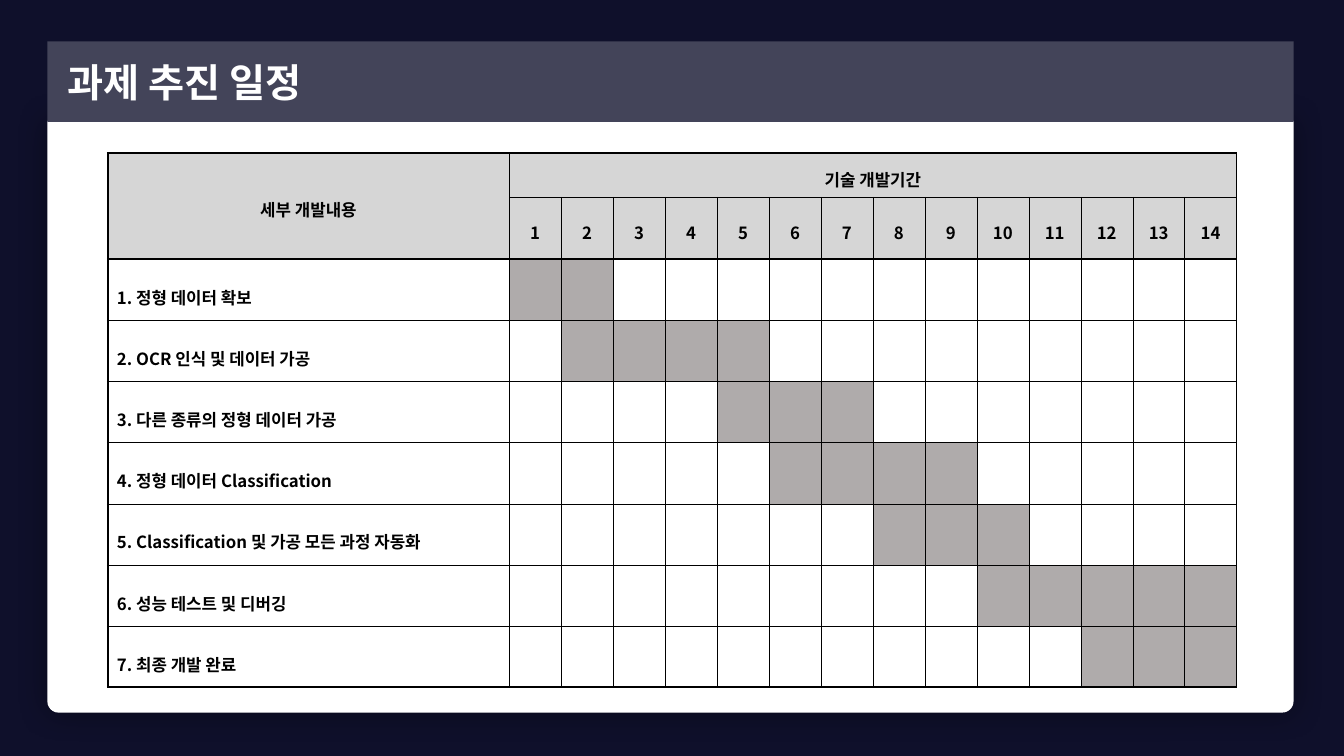
from dataclasses import dataclass

from lxml import etree
from pptx import Presentation
from pptx.dml.color import RGBColor
from pptx.enum.shapes import MSO_SHAPE
from pptx.enum.text import MSO_ANCHOR, PP_ALIGN
from pptx.oxml import parse_xml
from pptx.oxml.ns import nsdecls, qn
from pptx.util import Emu, Pt

ROUND = MSO_SHAPE.ROUND_2_SAME_RECTANGLE
MID = MSO_ANCHOR.MIDDLE
LEFT, CENTER, JUST = PP_ALIGN.LEFT, PP_ALIGN.CENTER, PP_ALIGN.JUSTIFY
SCALE = 9144
MONTHS = 14
HEADS = 2


@dataclass(frozen=True)
class Theme:
    font: str = "Noto Sans CJK KR"
    back: str = "0F102B"
    band: str = "434459"
    card: str = "FFFFFF"
    head: str = "D6D6D6"
    bar: str = "AFABAB"
    ink: str = "000000"
    title: int = 28
    body: int = 12
    thin: float = 0.28
    rule: float = 1
    edge: float = 1.7
    heavy: float = 1.98


@dataclass(frozen=True)
class Box:
    left: int
    top: int
    width: int
    height: int

    def emu(self) -> tuple[Emu, ...]:
        return tuple(px(n) for n in (self.left, self.top, self.width, self.height))


@dataclass(frozen=True)
class Task:
    name: str
    start: int
    end: int


THEME = Theme()
BAND = Box(47, 41, 1236, 80)
CARD = Box(47, 120, 1236, 587)
GRID = Box(107, 152, 1120, 530)
LABEL = 398
TOP = 44
TASKS = [
    Task("1. 정형 데이터 확보", 1, 2),
    Task("2. OCR 인식 및 데이터 가공", 2, 5),
    Task("3. 다른 종류의 정형 데이터 가공", 5, 7),
    Task("4. 정형 데이터 Classification", 6, 9),
    Task("5. Classification 및 가공 모든 과정 자동화", 8, 10),
    Task("6. 성능 테스트 및 디버깅", 10, 14),
    Task("7. 최종 개발 완료", 12, 14),
]


def px(n: int) -> Emu:
    return Emu(n * SCALE)


def paint(fill, color: str) -> None:
    fill.solid()
    fill.fore_color.rgb = RGBColor.from_string(color)


def write(frame, text: str, *, size: int = THEME.body, color: str = THEME.ink,
          align=CENTER, space: float = 1.3, inset: int = 0) -> None:
    frame.text = text
    para = frame.paragraphs[0]
    para.alignment = align
    para.line_spacing = space
    props = para._p.get_or_add_pPr()
    props.set("marL", str(px(inset)))
    props.set("indent", "0")
    font = para.runs[0].font
    font.size = Pt(size)
    font.bold = True
    font.name = THEME.font
    font.color.rgb = RGBColor.from_string(color)
    east = etree.SubElement(font._element, qn("a:ea"))
    east.set("typeface", THEME.font)


def rim(cell, **sides: float) -> None:
    props = cell._tc.get_or_add_tcPr()
    for side in "LRTB":
        props.append(parse_xml(
            f'<a:ln{side} {nsdecls("a")} w="{Pt(sides[side])}">'
            f'<a:solidFill><a:srgbClr val="{THEME.ink}"/></a:solidFill>'
            f'<a:prstDash val="solid"/></a:ln{side}>'))


def pad(cell, side: int, rise: int) -> None:
    cell.vertical_anchor = MID
    cell.margin_left = cell.margin_right = px(side)
    cell.margin_top = cell.margin_bottom = px(rise)


def draw_card(slide) -> None:
    card = slide.shapes.add_shape(ROUND, *CARD.emu())
    card.adjustments[0] = 0
    card.adjustments[1] = 0.019
    paint(card.fill, THEME.card)
    card.line.fill.background()
    card._element.spPr.append(parse_xml(
        f'<a:effectLst {nsdecls("a")}><a:outerShdw blurRad="{Pt(22)}" dist="0" '
        f'algn="ctr" rotWithShape="0"><a:srgbClr val="{THEME.ink}">'
        '<a:alpha val="40000"/></a:srgbClr></a:outerShdw></a:effectLst>'))


def draw_title(slide, text: str) -> None:
    title = slide.shapes.title
    title.left, title.top, title.width, title.height = BAND.emu()
    title._element.spPr.append(parse_xml(
        f'<a:prstGeom {nsdecls("a")} prst="round2SameRect"><a:avLst/></a:prstGeom>'))
    paint(title.fill, THEME.band)
    frame = title.text_frame
    frame.vertical_anchor = MID
    frame.margin_left, frame.margin_right = px(20), px(10)
    frame.margin_top = frame.margin_bottom = px(5)
    write(frame, text, size=THEME.title, color=THEME.card, align=LEFT, space=1.0)
    slide.shapes._spTree.append(title._element)


def draw_grid(slide) -> None:
    count = HEADS + len(TASKS)
    last = count - 1
    table = slide.shapes.add_table(count, MONTHS + 1, *GRID.emu()).table
    table.first_row = table.horz_banding = False
    for i, col in enumerate(table.columns):
        col.width = Emu(px(GRID.width - LABEL) // MONTHS) if i else px(LABEL)
    for i, row in enumerate(table.rows):
        row.height = Emu(px(GRID.height - TOP) // last) if i else px(TOP)
    table.cell(0, 0).merge(table.cell(1, 0))
    table.cell(0, 1).merge(table.cell(0, MONTHS))

    lines = [THEME.thin] * (count + 1)
    lines[0] = lines[count] = THEME.edge
    lines[1], lines[HEADS] = THEME.rule, THEME.heavy
    for r in range(count):
        for c in range(MONTHS + 1):
            cell = table.cell(r, c)
            if cell.is_spanned:
                continue
            low = HEADS if r == c == 0 else r + 1
            rim(cell, L=THEME.thin if c else THEME.edge, R=THEME.thin,
                T=lines[r], B=lines[low])
            pad(cell, 2, 2)
            if r < HEADS:
                color = THEME.head
            else:
                task = TASKS[r - HEADS]
                color = THEME.bar if task.start <= c <= task.end else THEME.card
            paint(cell.fill, color)

    pad(table.cell(0, 0), 10, 5)
    write(table.cell(0, 0).text_frame, "세부 개발내용")
    write(table.cell(0, 1).text_frame, "기술 개발기간")
    for month in range(1, MONTHS + 1):
        write(table.cell(1, month).text_frame, str(month))
    for r, task in enumerate(TASKS, HEADS):
        write(table.cell(r, 0).text_frame, task.name, align=JUST, space=1.6, inset=7)


def main() -> None:
    deck = Presentation()
    deck.slide_width, deck.slide_height = px(1333), px(750)
    slide = deck.slides.add_slide(deck.slide_layouts[5])
    paint(slide.background.fill, THEME.back)
    draw_card(slide)
    draw_title(slide, "과제 추진 일정")
    draw_grid(slide)
    deck.save("out.pptx")


if __name__ == "__main__":
    main()
